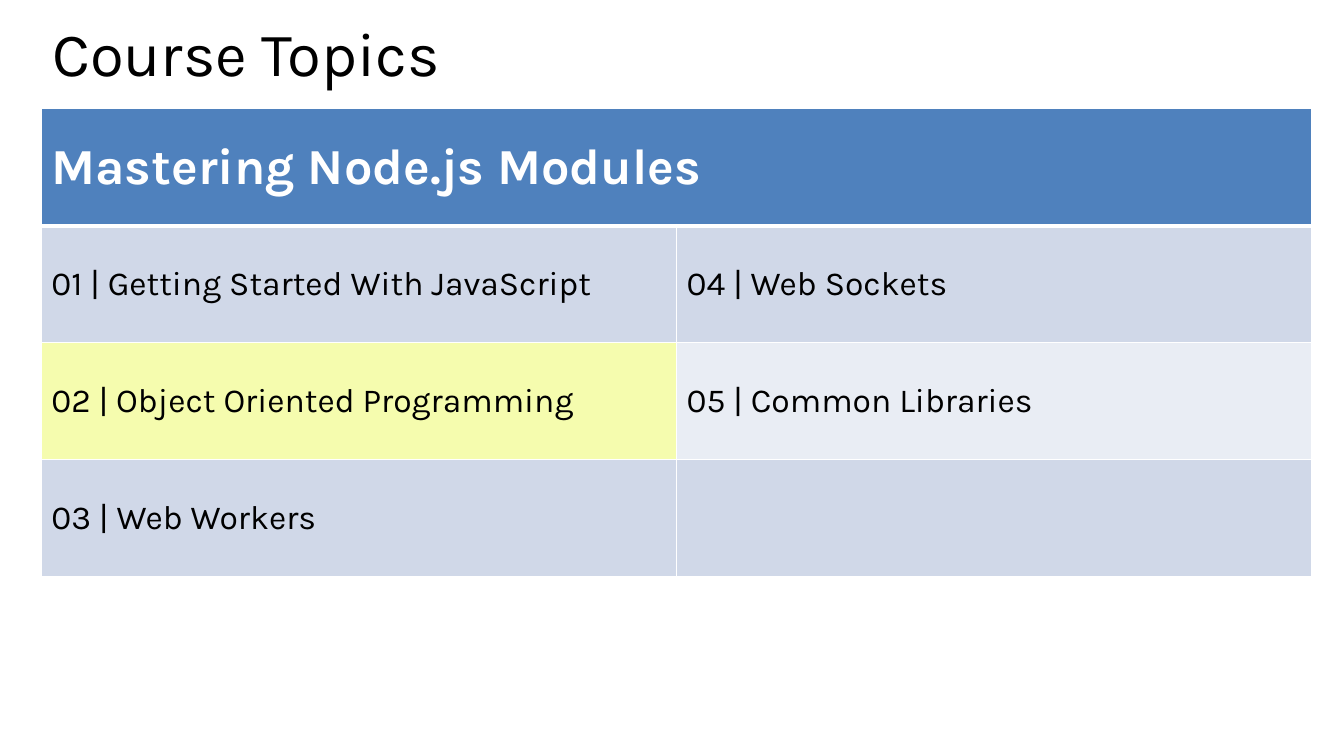
"""Build the course topics slide: a title above a table of modules."""
from pptx import Presentation
from pptx.dml.color import RGBColor as Rgb
from pptx.enum.text import MSO_ANCHOR as Anchor
from pptx.oxml import parse_xml
from pptx.oxml.ns import nsdecls
from pptx.util import Inches, Pt

HUES = {"ink": "000000", "paper": "FFFFFF", "head": "4F81BD",
        "dark": "D0D8E8", "light": "E9EDF4", "mark": "F5FCAE"}
FORMS = {"title": {"size": Pt(44), "bold": False, "hue": "ink"},
         "head": {"size": Pt(36), "bold": True, "hue": "paper"},
         "topic": {"size": Pt(24), "bold": False, "hue": "ink"}}
ROWS = [
    [("Mastering Node.js Modules", "head"), ("", "head")],
    [("01 | Getting Started With JavaScript", "dark"), ("04 | Web Sockets", "dark")],
    [("02 | Object Oriented Programming", "mark"), ("05 | Common Libraries", "light")],
    [("03 | Web Workers", "dark"), ("", "dark")],
]
LEFT, TOP, WIDE, HIGH = 0.41, 1.08, 6.3, 1.16


def style(para, form):
    """Set the font of a paragraph from its named format."""
    font = para.runs[0].font if para.runs else para.font
    font.name = "Karla"
    for key in ("size", "bold"):
        setattr(font, key, FORMS[form][key])
    font.color.rgb = Rgb.from_string(HUES[FORMS[form]["hue"]])


def edge(cell, side, width):
    """Draw one border of a cell."""
    cell._tc.get_or_add_tcPr().append(parse_xml(
        f'<a:ln{side} {nsdecls("a")} w="{Pt(width)}"><a:solidFill>'
        f'<a:srgbClr val="{HUES["paper"]}"/></a:solidFill></a:ln{side}>'))


deck = Presentation()
deck.slide_width, deck.slide_height = Inches(13.33), Inches(7.5)
slide = deck.slides.add_slide(deck.slide_layouts[6])

box = slide.shapes.add_textbox(Inches(0.42), Inches(0.2), Inches(2 * WIDE), Inches(0.76))
frame = box.text_frame
frame.word_wrap = True
frame.vertical_anchor = Anchor.MIDDLE
frame.text = "Course Topics"
frame.paragraphs[0].line_spacing = 0.8
style(frame.paragraphs[0], "title")

table = slide.shapes.add_table(len(ROWS), 2, Inches(LEFT), Inches(TOP),
                               Inches(2 * WIDE), Inches(len(ROWS) * HIGH)).table
for col in table.columns:
    col.width = Inches(WIDE)
for row in table.rows:
    row.height = Inches(HIGH)
table.cell(0, 0).merge(table.cell(0, 1))

for r, line in enumerate(ROWS):
    for c, (text, fill) in enumerate(line):
        cell = table.cell(r, c)
        cell.text = text
        cell.vertical_anchor = Anchor.MIDDLE
        style(cell.text_frame.paragraphs[0], "topic" if r else "head")
        for side in "LRTB":
            edge(cell, side, 3 if (r, side) in ((0, "B"), (1, "T")) else 1)
        cell.fill.solid()
        cell.fill.fore_color.rgb = Rgb.from_string(HUES[fill])

deck.save("out.pptx")
